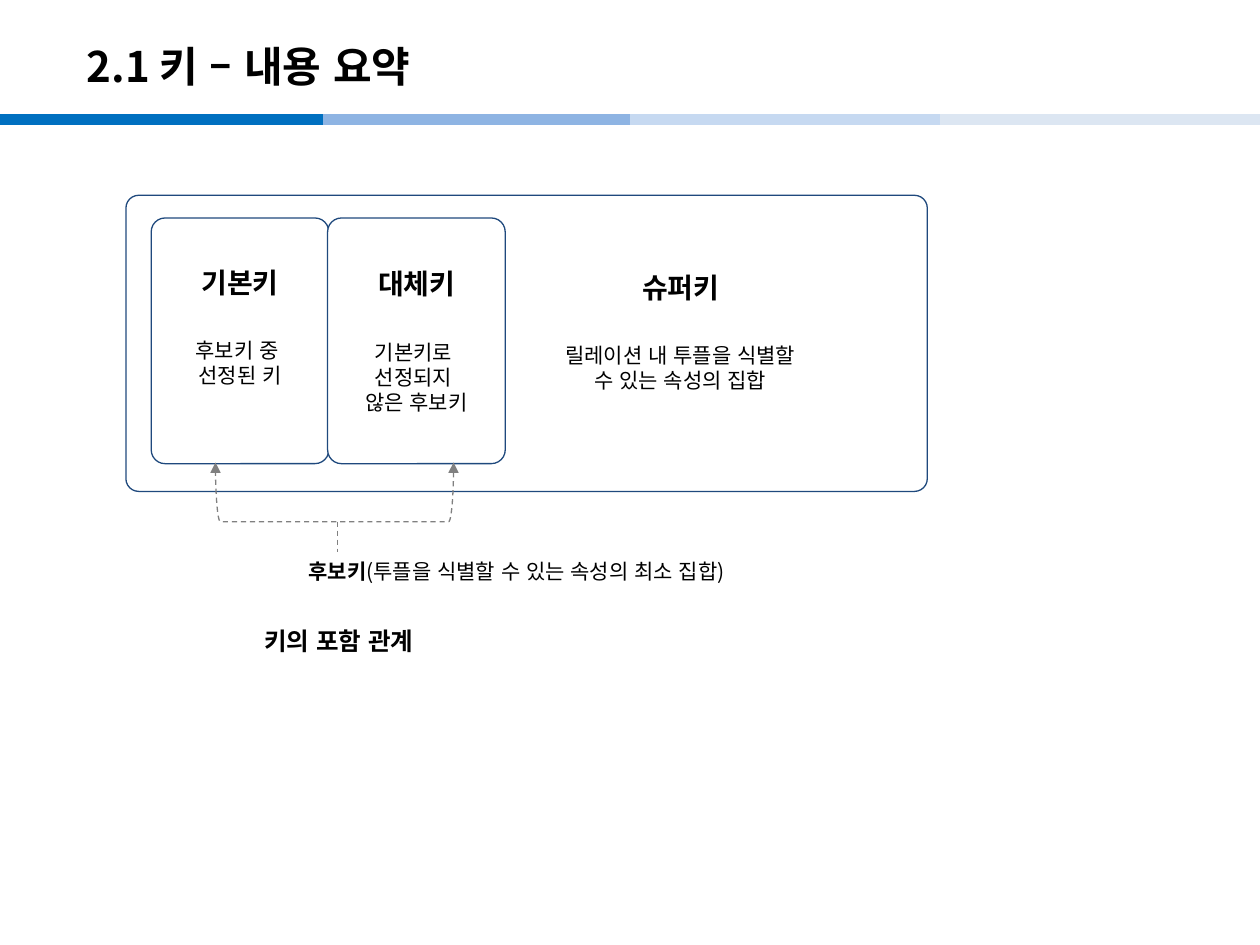
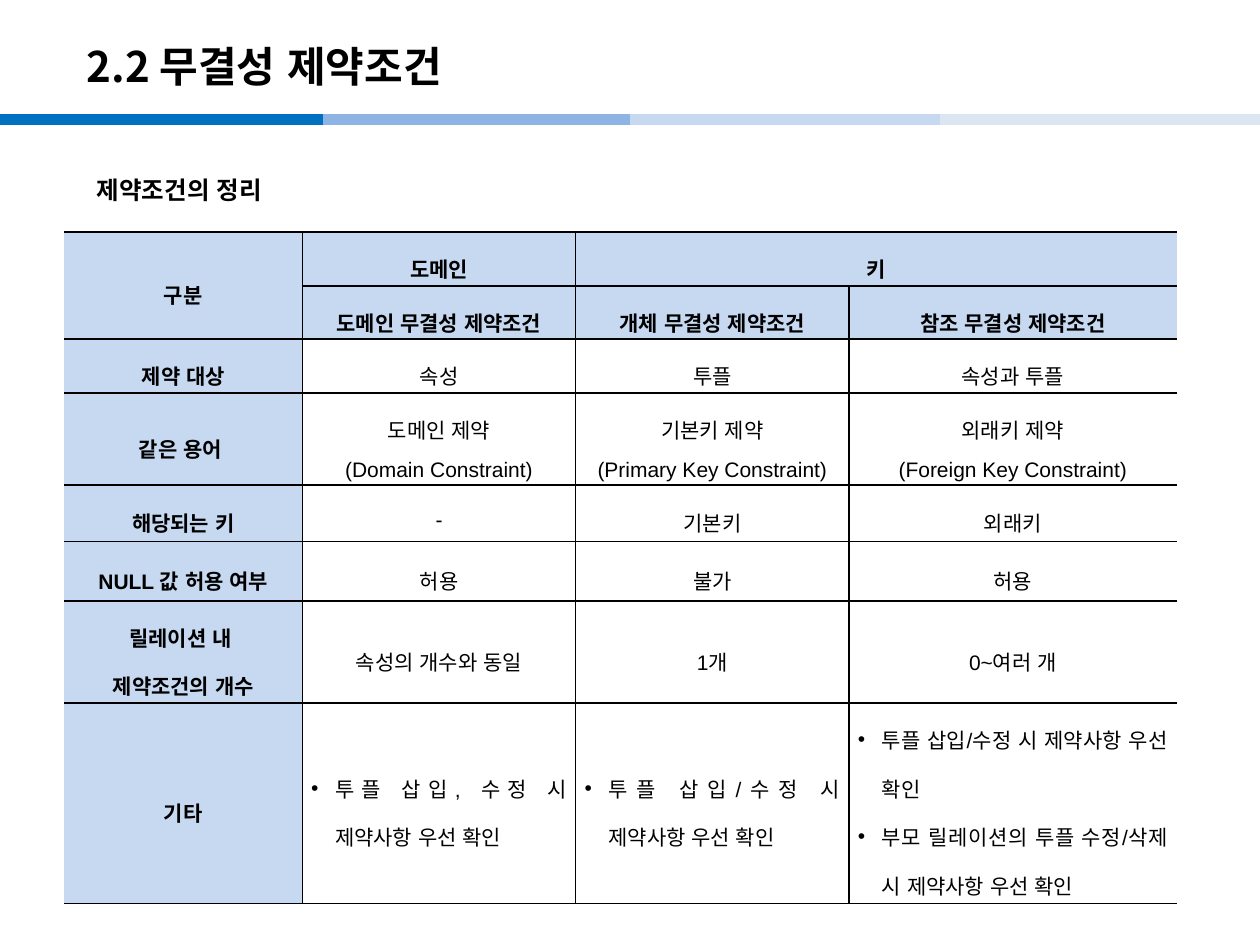
from dataclasses import dataclass
from typing import Any

import pptx
import pptx.dml.color
import pptx.enum.dml
import pptx.enum.lang
import pptx.enum.shapes
import pptx.enum.text
import pptx.oxml
import pptx.oxml.ns
import pptx.util
from lxml import etree

Inches = pptx.util.Inches
Pt = pptx.util.Pt
SHAPE = pptx.enum.shapes.MSO_SHAPE
ALIGN = pptx.enum.text.PP_ALIGN
MID = pptx.enum.text.MSO_ANCHOR.MIDDLE
TOP = pptx.enum.text.MSO_ANCHOR.TOP
DASH = pptx.enum.dml.MSO_LINE.DASH
KOREAN = pptx.enum.lang.MSO_LANGUAGE_ID.KOREAN

NOTO = "Noto Sans CJK KR"
ARIAL = "Arial"
HUES = {
    "ink": "000000", "paper": "FFFFFF", "navy": "1F497D",
    "gray": "808080", "head": "C6D9F1",
    "band1": "0070C0", "band2": "8EB4E3", "band3": "C6D9F1", "band4": "DCE6F2",
}
BANDS = {"band1": 0, "band2": 2.56, "band3": 5, "band4": 7.46}
BAND_Y, BAND_W = 0.95, 2.56


@dataclass
class Run:
    """A piece of text in one style."""
    text: str
    size: float = 12
    bold: bool = False
    latin: str = NOTO
    asian: str = NOTO


@dataclass
class Para:
    """A paragraph and its format values."""
    runs: list[Run]
    form: dict[str, Any]
    dot: bool = False


@dataclass
class Key:
    """A rounded box that names and explains a kind of key."""
    box: tuple[float, float, float, float]
    round: float
    name: str
    lines: list[str]
    left: float = 0.1
    foot: float = 0.05


def hue(name: str) -> pptx.dml.color.RGBColor:
    """Look up a colour."""
    return pptx.dml.color.RGBColor.from_string(HUES[name])


def put(item: Any, form: dict[str, Any]) -> None:
    """Set attributes from format values."""
    for name, value in form.items():
        setattr(item, name, value)


def node(home: Any, tag: str, **attrs: str) -> Any:
    """Append a drawing element."""
    kid = etree.SubElement(home, pptx.oxml.ns.qn("a:" + tag))
    for name, value in attrs.items():
        kid.set(name, value)
    return kid


def write(frame: Any, paras: list[Para], form: dict[str, Any]) -> None:
    """Fill a text frame with paragraphs."""
    put(frame, form)
    for i, para in enumerate(paras):
        p = frame.paragraphs[0] if i == 0 else frame.add_paragraph()
        put(p, para.form)
        if para.dot:
            props = p._p.get_or_add_pPr()
            props.set("marL", str(Inches(0.19)))
            props.set("indent", str(-Inches(0.19)))
            node(props, "buFont", typeface=ARIAL)
            node(props, "buChar", char="•")
        for part in para.runs:
            run = p.add_run()
            run.text = part.text
            put(run.font, {"name": part.latin, "size": Pt(part.size),
                           "bold": part.bold, "language_id": KOREAN})
            run.font.color.rgb = hue("ink")
            node(run._r.get_or_add_rPr(), "ea", typeface=part.asian)


def label(slide: Any, box: tuple, runs: list[Run], anchor: Any = MID) -> None:
    """Add a text box of one paragraph."""
    area = slide.shapes.add_textbox(*map(Inches, box))
    write(area.text_frame, [Para(runs, {})], {"word_wrap": True, "vertical_anchor": anchor})


def stroke(line: Any, tint: str, width: float, dash: Any = None) -> None:
    """Style a line."""
    line.color.rgb = hue(tint)
    put(line, {"width": Pt(width), "dash_style": dash})


def rule(slide: Any, ends: tuple, tint: str, width: float, dash: Any = None) -> None:
    """Draw a straight line."""
    kind = pptx.enum.shapes.MSO_CONNECTOR.STRAIGHT
    line = slide.shapes.add_connector(kind, *map(Inches, ends))
    stroke(line.line, tint, width, dash)
    node(line._element.spPr, "effectLst")


def page(deck: Any, title: str) -> Any:
    """Add a slide with the shared bands and title."""
    slide = deck.slides.add_slide(deck.slide_layouts[6])
    for tint, x in BANDS.items():
        rule(slide, (x, BAND_Y, x + BAND_W, BAND_Y), tint, 6)
    label(slide, (0.59, 0.22, 8.27, 0.6), [Run(title, 24, True)])
    return slide


def card(slide: Any, key: Key) -> None:
    """Draw a key box with its heading and text."""
    shape = slide.shapes.add_shape(SHAPE.ROUNDED_RECTANGLE, *map(Inches, key.box))
    shape.shadow.inherit = False
    shape.adjustments[0] = key.round
    shape.fill.solid()
    shape.fill.fore_color.rgb = hue("paper")
    stroke(shape.line, "navy", 0.75)
    paras = [Para([Run(key.name, 16, True, ARIAL, ARIAL)],
                  {"alignment": ALIGN.CENTER, "space_after": Pt(22)})]
    paras += [Para([Run(text, 12, False, ARIAL, ARIAL)], {"alignment": ALIGN.CENTER})
              for text in key.lines]
    write(shape.text_frame, paras, {
        "word_wrap": True, "vertical_anchor": MID,
        "margin_left": Inches(key.left), "margin_bottom": Inches(key.foot)})


def fork(slide: Any) -> None:
    """Draw the dashed bracket that points at both candidate keys."""
    shape = slide.shapes.add_shape(SHAPE.LEFT_BRACKET, *map(Inches, (2.42, 2.96, 0.47, 1.89)))
    shape.rotation = 270
    shape.shadow.inherit = False
    shape.fill.background()
    stroke(shape.line, "gray", 0.75, DASH)
    for tag in ("headEnd", "tailEnd"):
        node(shape.line._get_or_add_ln(), tag, type="triangle")
    rule(slide, (2.68, 4.14, 2.68, 4.38), "gray", 0.75, DASH)


def edge(cell: Any, tag: str, shown: bool) -> None:
    """Set one border of a cell."""
    line = node(cell._tc.get_or_add_tcPr(), tag, w=str(Pt(1)))
    if shown:
        node(node(line, "solidFill"), "srgbClr", val=HUES["ink"])
    else:
        node(line, "noFill")


def grid(slide: Any, rows: list[list[str]]) -> None:
    """Draw the table of constraints."""
    wide = [1.89, 2.17, 2.17, 2.6]
    high = [0.43, 0.42, 0.43, 0.73, 0.45, 0.47, 0.81, 1.59]
    box = (0.51, 1.84, sum(wide), sum(high))
    table = slide.shapes.add_table(len(high), len(wide), *map(Inches, box)).table
    put(table, {"first_row": False, "horz_banding": False})
    for col, width in zip(table.columns, wide):
        col.width = Inches(width)
    for row, height in zip(table.rows, high):
        row.height = Inches(height)
    table.cell(0, 0).merge(table.cell(1, 0))
    table.cell(0, 2).merge(table.cell(0, 3))
    for r, texts in enumerate(rows):
        for c, text in enumerate(texts):
            cell = table.cell(r, c)
            head = r < 2 or c == 0
            dot = r == len(rows) - 1 and c > 0
            last = c + cell.span_width if cell.is_merge_origin else c + 1
            for tag, shown in (("lnL", c > 0), ("lnR", last < len(wide)),
                               ("lnT", True), ("lnB", True)):
                edge(cell, tag, shown)
            if head:
                cell.fill.solid()
                cell.fill.fore_color.rgb = hue("head")
            else:
                cell.fill.background()
            put(cell, {"vertical_anchor": MID,
                       "margin_left": Inches(0.07), "margin_right": Inches(0.07),
                       "margin_top": Inches(0.02), "margin_bottom": Inches(0.02)})
            if text:
                form = {"alignment": ALIGN.JUSTIFY if dot else ALIGN.CENTER,
                        "line_spacing": 1.6}
                latin = NOTO if r < 2 else ARIAL
                write(cell.text_frame, [Para([Run(part, 12, head, latin)], form, dot)
                                        for part in text.split("\n")], {})


KEYS = [
    Key((1, 1.55, 6.36, 2.35), 0.043, "슈퍼키",
        ["릴레이션 내 투플을 식별할", "수 있는 속성의 집합"], 2.54, 0.24),
    Key((1.2, 1.73, 1.41, 1.95), 0.078, "기본키", ["후보키 중 ", "선정된 키"], foot=0.27),
    Key((2.6, 1.73, 1.41, 1.95), 0.078, "대체키", ["기본키로 ", "선정되지 ", "않은 후보키"]),
]
ROWS = [
    ["구분", "도메인", "키", ""],
    ["", "도메인 무결성 제약조건", "개체 무결성 제약조건", "참조 무결성 제약조건"],
    ["제약 대상", "속성", "투플", "속성과 투플"],
    ["같은 용어 ", "도메인 제약\n(Domain Constraint)", "기본키 제약\n(Primary Key Constraint)",
     "외래키 제약\n(Foreign Key Constraint)"],
    ["해당되는 키", "-", "기본키", "외래키"],
    ["NULL 값 허용 여부", "허용", "불가", "허용"],
    ["릴레이션 내 \n제약조건의 개수", "속성의 개수와 동일", "1개", "0~여러 개"],
    ["기타", "투플 삽입, 수정 시 제약사항 우선 확인", "투플 삽입/수정 시 제약사항 우선 확인",
     "투플 삽입/수정 시 제약사항 우선 확인\n부모 릴레이션의 투플 수정/삭제 시 제약사항 우선 확인"],
]


def main() -> None:
    """Build both slides and save them."""
    deck = pptx.Presentation()
    put(deck, {"slide_width": Inches(10), "slide_height": Inches(7.5)})

    slide = page(deck, "2.1 키 – 내용 요약")
    for key in KEYS:
        card(slide, key)
    fork(slide)
    label(slide, (2.35, 4.38, 4.09, 0.3),
          [Run("후보키", bold=True), Run("(투플을 식별할 수 있는 속성의 최소 집합)")], TOP)
    label(slide, (2, 4.93, 2.05, 0.31), [Run("키의 포함 관계", 14, True)])

    slide = page(deck, "2.2 무결성 제약조건")
    grid(slide, ROWS)
    label(slide, (0.67, 1.35, 2.05, 0.31), [Run("제약조건의 정리", 14, True)])
    deck.save("out.pptx")


main()
